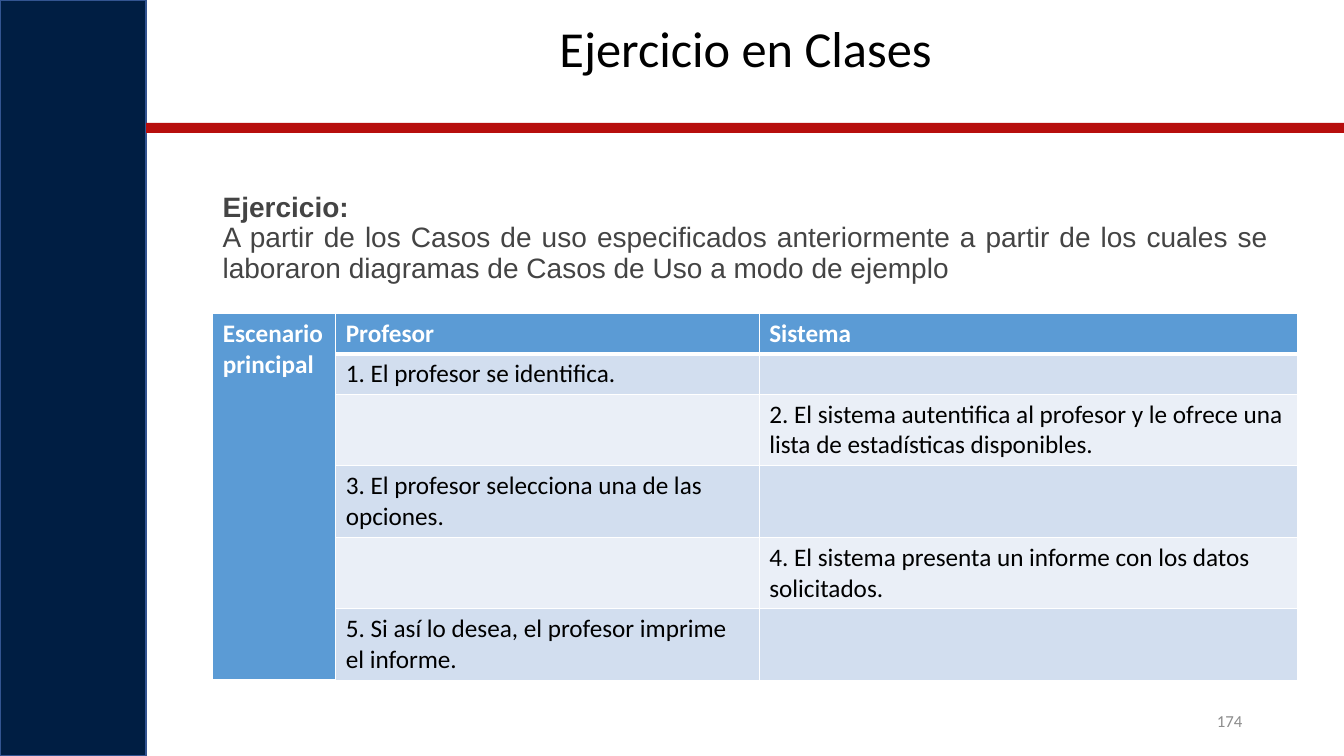
from lxml import etree
from pptx import Presentation, util as u
from pptx.dml.color import RGBColor
from pptx.enum import shapes, text
from pptx.oxml.ns import qn

# Content
TITLE = "Ejercicio en Clases"
PAGE = "174"
TASK = [
    ("Ejercicio:", True),
    ("A partir de los Casos de uso especificados anteriormente a partir de los "
     "cuales se laboraron diagramas de Casos de Uso a modo de ejemplo", False),
]
SIDE = "Escenario principal"
ROWS = [
    ("Profesor", "Sistema"),
    ("1. El profesor se identifica.", ""),
    ("", "2. El sistema autentifica al profesor y le ofrece una lista de "
         "estadísticas disponibles."),
    ("3. El profesor selecciona una de las opciones.", ""),
    ("", "4. El sistema presenta un informe con los datos solicitados."),
    ("5. Si así lo desea, el profesor imprime el informe.", ""),
]
HEX = dict(navy="001E43", red="B70E0D", edge="325491", black="000000",
           gray="444444", pale="8C8C8C", white="FFFFFF", head="5B9BD5",
           odd="D2DEEF", even="EAEFF7")

# Layout in inches
WIDE, HIGH = 13.33, 7.5
BAND = 1.45
LEFT = 2.11
COLS = [1.22, 4.2, 5.34]
LINE, PAIR = 0.4, 0.71
TALL = [LINE] * 2 + [PAIR] * 4

deck = Presentation()
deck.slide_width, deck.slide_height = u.Inches(WIDE), u.Inches(HIGH)
slide = deck.slides.add_slide(deck.slide_layouts[6])


def tint(name):
    return RGBColor.from_string(HEX[name])


def place(*box):
    return [u.Inches(n) for n in box]


def write(para, words, size, color, bold=False, face="Calibri"):
    run = para.add_run()
    run.text = words
    font = run.font
    font.name, font.size, font.bold = face, u.Pt(size), bold
    font.color.rgb = tint(color)


def block(box, fill, edge=None):
    shape = slide.shapes.add_shape(shapes.MSO_SHAPE.RECTANGLE, *place(*box))
    shape.shadow.inherit = False
    shape.fill.solid()
    shape.fill.fore_color.rgb = tint(fill)
    if edge:
        shape.line.color.rgb = tint(edge)
        shape.line.width = u.Pt(1)
    else:
        shape.line.fill.background()


def label(box, parts, align, size, color, face="Calibri", space=None,
          anchor=text.MSO_ANCHOR.TOP):
    frame = slide.shapes.add_textbox(*place(*box)).text_frame
    frame.word_wrap = True
    frame.vertical_anchor = anchor
    for i, (words, bold) in enumerate(parts):
        para = frame.add_paragraph() if i else frame.paragraphs[0]
        para.alignment = align
        para.line_spacing = space
        write(para, words, size, color, bold, face)


def border(cell, low):
    props = cell._tc.get_or_add_tcPr()
    for i, side in enumerate(("lnL", "lnR", "lnT", "lnB")):
        width = u.Pt(low if side == "lnB" else 1)
        line = etree.Element(qn("a:" + side), w=str(int(width)))
        fill = etree.SubElement(line, qn("a:solidFill"))
        etree.SubElement(fill, qn("a:srgbClr"), val=HEX["white"])
        props.insert(i, line)


# Side band and rule
block((0, 0, BAND, HIGH), "navy", "edge")
block((BAND, 1.22, WIDE - BAND, 0.1), "red")

# Title, page number and task
ALIGN = text.PP_ALIGN
label((1.6, 0.19, 11.59, 0.85), [(TITLE, False)], ALIGN.CENTER, 36, "black",
      space=0.9)
label((9.42, 6.95, 3, 0.4), [(PAGE, False)], ALIGN.RIGHT, 12, "pale",
      anchor=text.MSO_ANCHOR.MIDDLE)
label((LEFT, 1.87, 10.57, 0.99), TASK, ALIGN.JUSTIFY, 20, "gray", "Arial", 0.9)

# Scenario table
grid = slide.shapes.add_table(
    len(ROWS), len(COLS), *place(LEFT, 3.11, sum(COLS), sum(TALL))).table
for col, width in zip(grid.columns, COLS):
    col.width = u.Inches(width)
for row, height in zip(grid.rows, TALL):
    row.height = u.Inches(height)
grid.cell(0, 0).merge(grid.cell(len(ROWS) - 1, 0))

for r, pair in enumerate(ROWS):
    for c, words in enumerate((SIDE if r == 0 else "",) + pair):
        cell = grid.cell(r, c)
        head = r == 0 or c == 0
        cell.fill.solid()
        cell.fill.fore_color.rgb = tint(
            "head" if head else "odd" if r % 2 else "even")
        border(cell, 3 if r == 0 else 1)
        para = cell.text_frame.paragraphs[0]
        if words:
            write(para, words, 18, "white" if head else "black", head)
        else:
            para.font.size = u.Pt(18)

deck.save("out.pptx")
